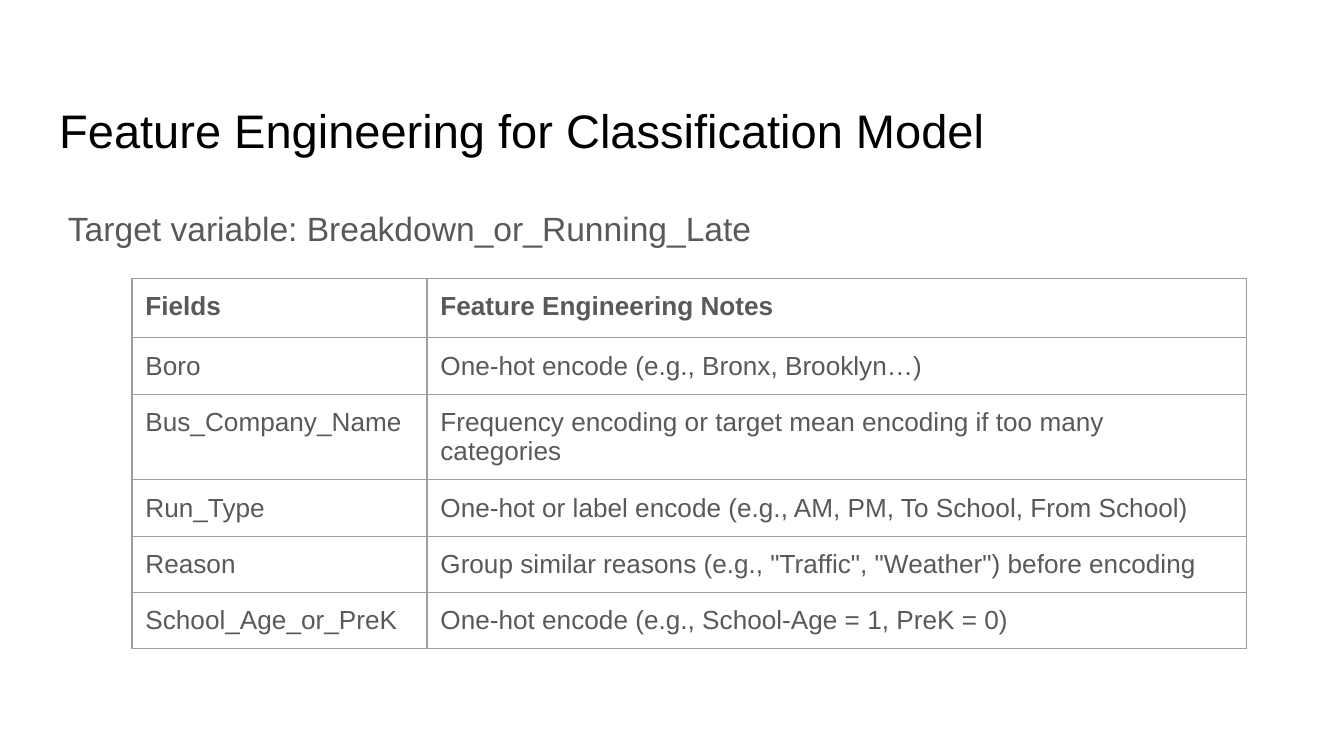
"""Build the slide on feature engineering for the classification model."""
from dataclasses import dataclass

from lxml.etree import SubElement
from pptx import Presentation
from pptx.dml.color import RGBColor
from pptx.enum.text import MSO_ANCHOR, MSO_AUTO_SIZE, PP_ALIGN
from pptx.oxml.ns import qn
from pptx.shapes.base import BaseShape
from pptx.slide import Slide
from pptx.table import _Cell
from pptx.text.text import TextFrame, _Paragraph
from pptx.util import Inches, Length, Pt

SLIDE_WIDTH = Inches(10)
SLIDE_HEIGHT = Length(SLIDE_WIDTH * 9 // 16)


@dataclass(frozen=True)
class Theme:
    """Colours, type sizes and spacing of the slide."""
    font: str = "Arial"
    background: str = "FFFFFF"
    title_color: str = "000000"
    text_color: str = "595959"
    border_color: str = "9E9E9E"
    title_size: float = 25.2
    body_size: float = 18
    table_size: float = 14
    border_width: float = 0.75
    inset: float = 0.1
    body_spacing: float = 1.15


@dataclass(frozen=True)
class Area:
    """A rectangle in percent of the slide's width and height."""
    left: float
    top: float
    width: float
    height: float


@dataclass(frozen=True)
class Feature:
    """One table row: a field and how it is encoded."""
    field: str
    notes: str


THEME = Theme()
TITLE_AREA = Area(3.4, 11.63, 93.2, 11.2)
BODY_AREA = Area(4.07, 24.89, 93.2, 72.53)
COLUMN_SHARES = (21.95, 60.95)
HEADER_SHARE = 7.9
ROW_SHARE = 7.43
FEATURES = (
    Feature("Fields", "Feature Engineering Notes"),
    Feature("Boro", "One-hot encode (e.g., Bronx, Brooklyn…)"),
    Feature("Bus_Company_Name", "Frequency encoding or target mean encoding if too many categories"),
    Feature("Run_Type", "One-hot or label encode (e.g., AM, PM, To School, From School)"),
    Feature("Reason", 'Group similar reasons (e.g., "Traffic", "Weather") before encoding'),
    Feature("School_Age_or_PreK", "One-hot encode (e.g., School-Age = 1, PreK = 0)"),
)
TABLE_AREA = Area(9.82, 36.8, sum(COLUMN_SHARES), HEADER_SHARE + ROW_SHARE * (len(FEATURES) - 1))


def across(percent: float) -> Length:
    """Return a share of the slide's width."""
    return Length(round(SLIDE_WIDTH * percent / 100))


def down(percent: float) -> Length:
    """Return a share of the slide's height."""
    return Length(round(SLIDE_HEIGHT * percent / 100))


def bounds(area: Area) -> tuple[Length, Length, Length, Length]:
    """Return left, top, width and height of an area."""
    return across(area.left), down(area.top), across(area.width), down(area.height)


def set_insets(holder: TextFrame | _Cell) -> None:
    """Give a text frame or cell equal margins."""
    holder.margin_left = holder.margin_right = Inches(THEME.inset)
    holder.margin_top = holder.margin_bottom = Inches(THEME.inset)


def style_paragraph(paragraph: _Paragraph, size: float, color: str, bold: bool = False) -> None:
    """Set the font and alignment of a paragraph."""
    paragraph.alignment = PP_ALIGN.LEFT
    paragraph.font.name = THEME.font
    paragraph.font.size = Pt(size)
    paragraph.font.bold = bold
    paragraph.font.color.rgb = RGBColor.from_string(color)


def fill_text(shape: BaseShape, text: str, size: float, color: str, spacing: float = 1) -> None:
    """Write one styled paragraph at the top of a shape."""
    frame = shape.text_frame
    frame.text = text
    frame.word_wrap = True
    frame.auto_size = MSO_AUTO_SIZE.NONE
    frame.vertical_anchor = MSO_ANCHOR.TOP
    set_insets(frame)
    paragraph = frame.paragraphs[0]
    paragraph.line_spacing = spacing
    style_paragraph(paragraph, size, color)


def draw_borders(cell: _Cell) -> None:
    """Outline all four sides of a cell."""
    properties = cell._tc.get_or_add_tcPr()
    for side in ("a:lnL", "a:lnR", "a:lnT", "a:lnB"):
        line = SubElement(properties, qn(side), w=str(Pt(THEME.border_width)))
        fill = SubElement(line, qn("a:solidFill"))
        SubElement(fill, qn("a:srgbClr"), val=THEME.border_color)


def draw_cell(cell: _Cell, text: str, bold: bool) -> None:
    """Write and format one table cell."""
    cell.text = text
    cell.vertical_anchor = MSO_ANCHOR.TOP
    set_insets(cell)
    style_paragraph(cell.text_frame.paragraphs[0], THEME.table_size, THEME.text_color, bold)
    draw_borders(cell)
    cell.fill.background()


def draw_table(slide: Slide, features: tuple[Feature, ...]) -> None:
    """Draw the table of fields and encoding notes."""
    table = slide.shapes.add_table(len(features), len(COLUMN_SHARES), *bounds(TABLE_AREA)).table
    table.horz_banding = False
    for column, share in zip(table.columns, COLUMN_SHARES):
        column.width = across(share)
    for index, (row, feature) in enumerate(zip(table.rows, features)):
        is_header = index == 0
        row.height = down(HEADER_SHARE if is_header else ROW_SHARE)
        for cell, text in zip(row.cells, (feature.field, feature.notes)):
            draw_cell(cell, text, is_header)


def main() -> None:
    """Build and save the presentation."""
    presentation = Presentation()
    presentation.slide_width = SLIDE_WIDTH
    presentation.slide_height = SLIDE_HEIGHT
    slide = presentation.slides.add_slide(presentation.slide_layouts[5])
    slide.background.fill.solid()
    slide.background.fill.fore_color.rgb = RGBColor.from_string(THEME.background)

    title = slide.shapes.title
    title.left, title.top, title.width, title.height = bounds(TITLE_AREA)
    fill_text(title, "Feature Engineering for Classification Model", THEME.title_size, THEME.title_color)

    body = slide.shapes.add_textbox(*bounds(BODY_AREA))
    fill_text(body, "Target variable: Breakdown_or_Running_Late",
              THEME.body_size, THEME.text_color, THEME.body_spacing)

    draw_table(slide, FEATURES)
    presentation.save("out.pptx")


if __name__ == "__main__":
    main()
